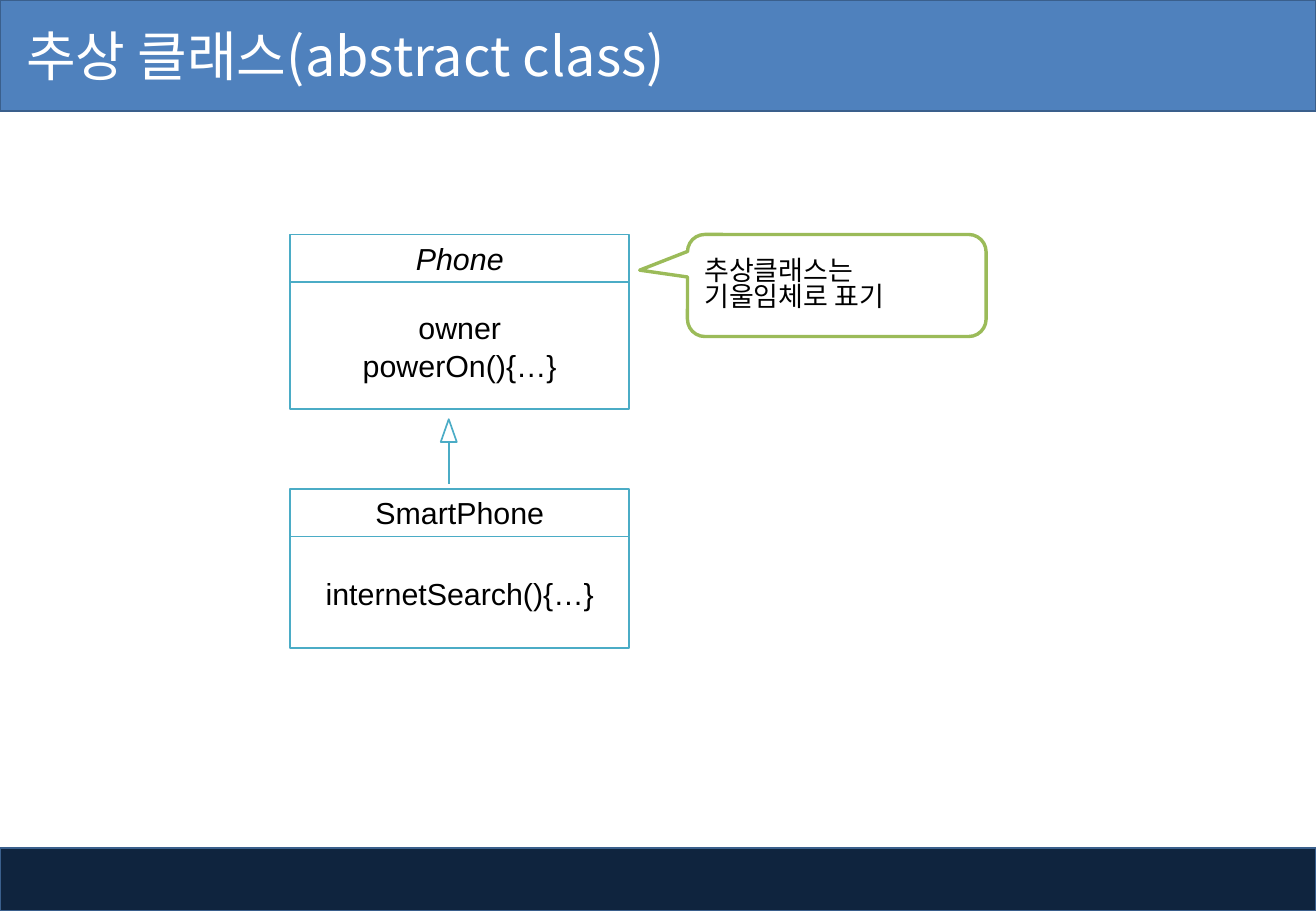
from dataclasses import dataclass

from lxml.etree import SubElement
from pptx import Presentation
from pptx.dml.color import RGBColor
from pptx.enum.shapes import MSO_CONNECTOR, MSO_SHAPE
from pptx.enum.text import MSO_ANCHOR, PP_ALIGN
from pptx.oxml.ns import qn
from pptx.util import Pt

WIDTH, HEIGHT = 780, 540
BLUE, BLUE_EDGE, NAVY = "4F81BD", "3A5F8C", "0F243E"
TEAL, GREEN, WHITE, BLACK = "4BACC6", "9BBB59", "FFFFFF", "000000"
LATIN, KOREAN = "Arial", "Noto Sans CJK KR"
CLASS_LEFT, CLASS_WIDTH, NAME_HEIGHT = 172, 201, 28


@dataclass
class UmlClass:
    name: str
    members: list[str]
    top: float
    body_height: float
    abstract: bool = False


CLASSES = [
    UmlClass("Phone", ["owner", "powerOn(){…}"], 139, 75.5, abstract=True),
    UmlClass("SmartPhone", ["internetSearch(){…}"], 290, 66),
]


def color(value: str) -> RGBColor:
    return RGBColor.from_string(value)


def add_box(s, kind, left: float, top: float, width: float, height: float,
            fill: str, line: str, weight: float = 1):
    sp = s.shapes.add_shape(kind, Pt(left), Pt(top), Pt(width), Pt(height))
    sp.shadow.inherit = False
    sp.fill.solid()
    sp.fill.fore_color.rgb = color(fill)
    sp.line.color.rgb = color(line)
    sp.line.width = Pt(weight)
    return sp


def write(sp, lines: list[str], size: float, font: str, text_color: str = BLACK,
          align=PP_ALIGN.LEFT, spacing: float = 1, italic: bool = False) -> None:
    """Fill a shape with one paragraph per line, centred vertically."""
    tf = sp.text_frame
    tf.word_wrap = True
    tf.vertical_anchor = MSO_ANCHOR.MIDDLE
    for i, line in enumerate(lines):
        p = tf.add_paragraph() if i else tf.paragraphs[0]
        r = p.add_run()
        r.text = line
        p.alignment = align
        p.line_spacing = spacing
        p.font.size = Pt(size)
        p.font.name = font
        p.font.italic = italic
        p.font.color.rgb = color(text_color)
        # East Asian text takes its typeface from a:ea
        SubElement(r._r.get_or_add_rPr(), qn("a:ea"), typeface=font)


def add_class(s, uml: UmlClass) -> None:
    name = add_box(s, MSO_SHAPE.RECTANGLE, CLASS_LEFT, uml.top,
                   CLASS_WIDTH, NAME_HEIGHT, WHITE, TEAL)
    write(name, [uml.name], 18, LATIN, align=PP_ALIGN.CENTER, italic=uml.abstract)
    body = add_box(s, MSO_SHAPE.RECTANGLE, CLASS_LEFT, uml.top + NAME_HEIGHT,
                   CLASS_WIDTH, uml.body_height, WHITE, TEAL)
    write(body, uml.members, 18, LATIN, align=PP_ALIGN.CENTER, spacing=1.06)


def add_inheritance_arrow(s, x: float, top: float, bottom: float) -> None:
    head_width, head_height = 9.5, 13.5
    add_box(s, MSO_SHAPE.ISOSCELES_TRIANGLE, x - head_width / 2, top,
            head_width, head_height, WHITE, TEAL)
    stem = s.shapes.add_connector(MSO_CONNECTOR.STRAIGHT, Pt(x),
                                  Pt(top + head_height), Pt(x), Pt(bottom))
    stem.line.color.rgb = color(TEAL)
    stem.line.width = Pt(1)
    SubElement(stem._element.spPr, qn("a:effectLst"))


def main() -> None:
    prs = Presentation()
    prs.slide_width, prs.slide_height = Pt(WIDTH), Pt(HEIGHT)
    s = prs.slides.add_slide(prs.slide_layouts[6])

    add_box(s, MSO_SHAPE.RECTANGLE, 0, 502.5, WIDTH, 37.5, NAVY, BLUE_EDGE)
    add_box(s, MSO_SHAPE.RECTANGLE, 0, 0, WIDTH, 66, BLUE, BLUE_EDGE)
    title = s.shapes.add_textbox(0, Pt(-1), Pt(488), Pt(67.5))
    title.text_frame.margin_left = Pt(15.5)
    write(title, ["추상 클래스(abstract class)"], 32, KOREAN, WHITE)

    for uml in CLASSES:
        add_class(s, uml)
    add_inheritance_arrow(s, 266, 248.5, 287)

    callout = add_box(s, MSO_SHAPE.ROUNDED_RECTANGULAR_CALLOUT,
                      407.5, 139, 177, 60.5, WHITE, GREEN, 2)
    for i, value in enumerate((-0.66, -0.15, 0.17)):
        callout.adjustments[i] = value
    write(callout, ["추상클래스는 기울임체로 표기"], 16, KOREAN, spacing=0.82)

    prs.save("out.pptx")


if __name__ == "__main__":
    main()
